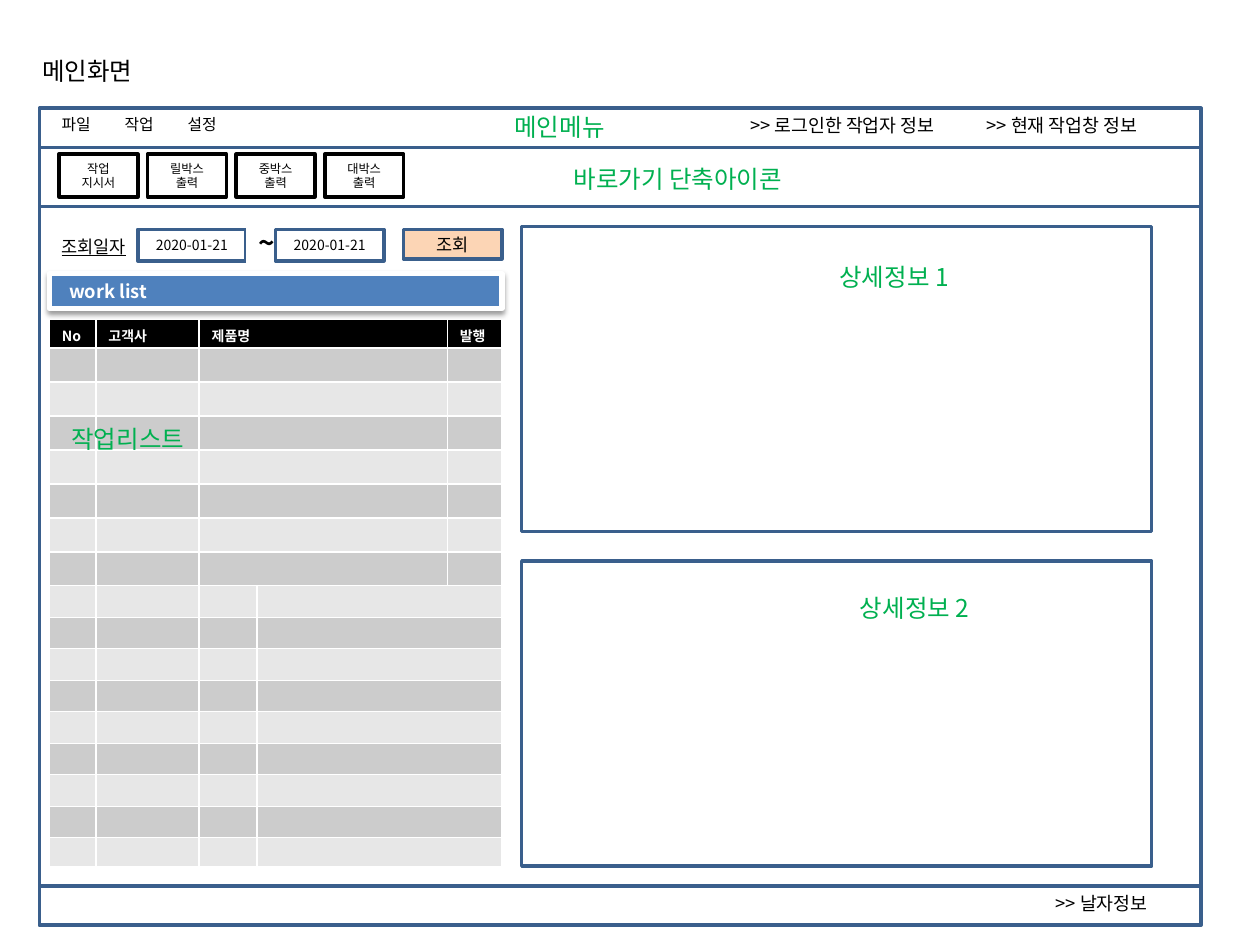
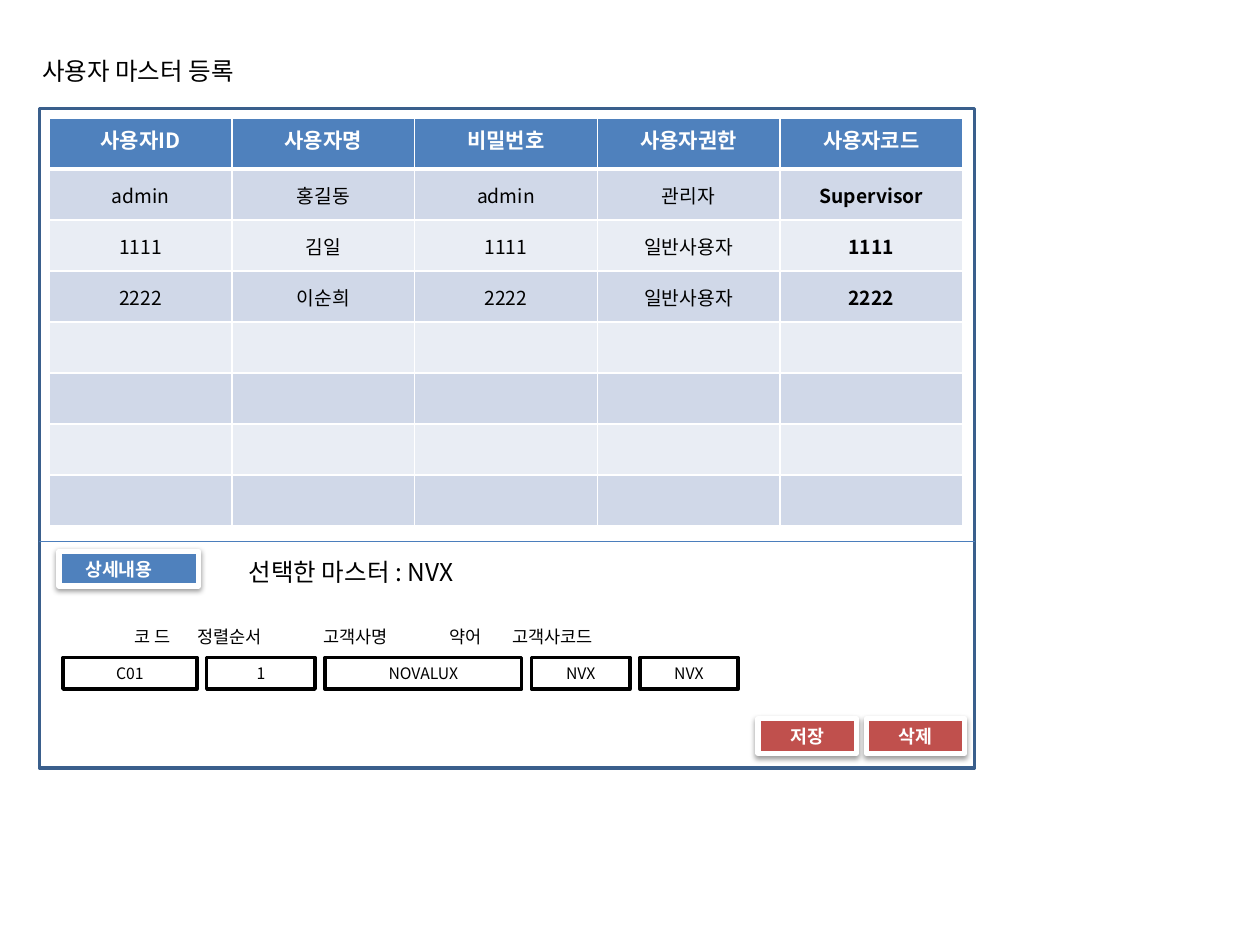
from lxml import etree
from pptx import Presentation
from pptx.dml.color import RGBColor
from pptx.enum.shapes import MSO_CONNECTOR, MSO_SHAPE
from pptx.enum.text import MSO_ANCHOR as Anchor, MSO_AUTO_SIZE as AutoSize, PP_ALIGN as Align
from pptx.oxml.ns import qn
from pptx.util import Inches, Pt

FONT = "Noto Sans CJK KR"
GRID_COLUMNS = 128  # one unit is the slide width / 128, used both ways
UNIT = Inches(10) / GRID_COLUMNS

BLACK = RGBColor(0x00, 0x00, 0x00)
WHITE = RGBColor(0xFF, 0xFF, 0xFF)
NAVY = RGBColor(0x3A, 0x5F, 0x8C)
BLUE = RGBColor(0x4F, 0x81, 0xBD)
RULE_BLUE = RGBColor(0x4B, 0x7E, 0xBC)
GREEN = RGBColor(0x00, 0xB0, 0x50)
RED = RGBColor(0xC0, 0x50, 0x4D)
PEACH = RGBColor(0xFC, 0xD5, 0xB5)
GRAY_BANDS = RGBColor(0xCC, 0xCC, 0xCC), RGBColor(0xE7, 0xE7, 0xE7)
BLUE_BANDS = RGBColor(0xD0, 0xD8, 0xE8), RGBColor(0xE9, 0xED, 0xF4)


def grid(*units):
    return [round(unit * UNIT) for unit in units]


def add_element(parent, tag, **attributes):
    element = etree.SubElement(parent, qn(tag))
    for name, value in attributes.items():
        element.set(name, str(value))
    return element


def write(frame, text, size=10, color=BLACK, bold=False, underline=None,
          align=Align.LEFT, indent=0, tabs=()):
    """Put text in a frame; indent and tab stops are in inches."""
    frame.text = text
    for paragraph in frame.paragraphs:
        paragraph.alignment = align
        properties = paragraph._p.get_or_add_pPr()
        properties.set("marL", str(Inches(indent)))
        properties.set("indent", "0")
        if tabs:
            stops = add_element(properties, "a:tabLst")
            for stop in tabs:
                add_element(stops, "a:tab", pos=Inches(stop), algn="l")
        for run in paragraph.runs:
            font = run.font
            font.name, font.size, font.bold = FONT, Pt(size), bold
            font.underline, font.color.rgb = underline, color
            add_element(run._r.get_or_add_rPr(), "a:ea", typeface=FONT)
        if not paragraph.runs:
            add_element(paragraph._p, "a:endParaRPr", sz=size * 100)


def add_title(slide, text, width):
    title = slide.shapes.title
    title.left, title.top, title.width, title.height = grid(3, 5, width, 4.35)
    frame = title.text_frame
    frame.auto_size = AutoSize.NONE
    frame.word_wrap = False
    frame.vertical_anchor = Anchor.TOP
    write(frame, text, size=14)


def add_label(slide, text, left, top, width, height=4.35, wrap=False, **style):
    box = slide.shapes.add_textbox(*grid(left, top, width, height))
    box.text_frame.word_wrap = wrap
    write(box.text_frame, text, **style)


def add_note(slide, text, left, top, width):
    add_label(slide, text, left, top, width, size=14, color=GREEN)


def add_box(slide, left, top, width, height, text="", fill=None, line=NAVY,
            line_width=2, anchor=Anchor.MIDDLE, align=Align.CENTER, **style):
    box = slide.shapes.add_shape(MSO_SHAPE.RECTANGLE, *grid(left, top, width, height))
    box.shadow.inherit = False
    if fill is None:
        box.fill.background()
    else:
        box.fill.solid()
        box.fill.fore_color.rgb = fill
    if line is None:
        box.line.fill.background()
    else:
        box.line.color.rgb = line
        box.line.width = Pt(line_width)
    if text:
        box.text_frame.vertical_anchor = anchor
        write(box.text_frame, text, align=align, **style)
    return box


def add_raised_bar(slide, text, left, top, width, fill, **style):
    """Filled bar with a white rim and a soft shadow below."""
    bar = add_box(slide, left, top, width, 3.55, text, fill, WHITE, 3,
                  size=10.5, color=WHITE, bold=True, **style)
    effects = bar._element.spPr.find(qn("a:effectLst"))
    shadow = add_element(effects, "a:outerShdw", blurRad=Pt(3.1), dist=Pt(1.6),
                         dir=90 * 60000, rotWithShape=0)
    color = add_element(shadow, "a:srgbClr", val=BLACK)
    add_element(color, "a:alpha", val=38000)


def add_grid_table(slide, left, top, column_widths, row_heights):
    """Plain table; widths and heights are in inches."""
    frame = slide.shapes.add_table(
        len(row_heights), len(column_widths), *grid(left, top),
        Inches(sum(column_widths)), Inches(sum(row_heights)))
    table = frame.table
    for column, width in zip(table.columns, column_widths):
        column.width = Inches(width)
    for row, height in zip(table.rows, row_heights):
        row.height = Inches(height)
    return table


def fill_cell(cell, fill, text="", anchor=Anchor.TOP, **style):
    cell.fill.solid()
    cell.fill.fore_color.rgb = fill
    cell.vertical_anchor = anchor
    cell.margin_bottom = Inches(0.01)
    write(cell.text_frame, text, **style)


def set_borders(cell, bottom=1):
    properties = cell._tc.get_or_add_tcPr()
    widths = {"a:lnL": 1, "a:lnR": 1, "a:lnT": 1, "a:lnB": bottom}
    for position, (tag, width) in enumerate(widths.items()):
        line = add_element(properties, tag, w=Pt(width))
        add_element(add_element(line, "a:solidFill"), "a:srgbClr", val=WHITE)
        properties.insert(position, line)


def add_work_list(slide):
    headings = ["No", "고객사", "제품명", "", "발행"]
    heights = [0.23] + [0.27] * 7 + [0.25] * 8 + [0.23]
    table = add_grid_table(slide, 5, 32.4, [0.37, 0.82, 0.46, 1.51, 0.43], heights)
    for row in range(len(heights)):
        for column, heading in enumerate(headings):
            header = row == 0
            fill_cell(table.cell(row, column),
                      BLACK if header else GRAY_BANDS[(row - 1) % 2],
                      heading if header else "", size=8, color=WHITE, bold=True)
        first = 2 if row < 8 else 3
        table.cell(row, first).merge(table.cell(row, first + 1))


def add_user_table(slide):
    headings = ["사용자ID", "사용자명", "비밀번호", "사용자권한", "사용자코드"]
    users = [
        ["admin", "홍길동", "admin", "관리자", "Supervisor"],
        ["1111", "김일", "1111", "일반사용자", "1111"],
        ["2222", "이순희", "2222", "일반사용자", "2222"],
    ]
    rows = [headings] + users + [[""] * 5] * 4
    table = add_grid_table(slide, 5, 12, [1.45] * 5, [3.24 / len(rows)] * len(rows))
    for row, values in enumerate(rows):
        for column, value in enumerate(values):
            cell = table.cell(row, column)
            if row == 0:
                fill_cell(cell, BLUE, value, size=12, color=WHITE, bold=True,
                          align=Align.CENTER)
            else:
                cell.margin_top = Inches(0.01)
                fill_cell(cell, BLUE_BANDS[(row - 1) % 2], value, Anchor.MIDDLE,
                          size=11, bold=column == 4, align=Align.CENTER)
            set_borders(cell, bottom=3 if row == 0 else 1)


def build_main_screen(slide):
    add_title(slide, "메인화면", 12.7)
    for top, height in [(11, 79), (11, 4), (15, 6)]:
        add_box(slide, 4, top, 118, height)
    add_note(slide, "메인메뉴", 51, 10.75, 12.7)
    add_note(slide, "바로가기 단축아이콘", 57, 16, 26.1)
    shortcuts = ["작업\n지시서", "릴박스\n출력", "중박스\n출력", "대박스\n출력"]
    for index, shortcut in enumerate(shortcuts):
        add_box(slide, 6 + 9 * index, 15.65, 8, 4.35, shortcut, WHITE, BLACK, size=7)

    add_work_list(slide)
    add_raised_bar(slide, "work list", 5, 27.8, 46, BLUE, align=Align.LEFT, indent=0.06)
    for number, top, note_left, note_top in [(1, 23, 84, 26), (2, 57, 86.1, 59.65)]:
        add_box(slide, 53, top, 64, 31)
        add_note(slide, f"상세정보 {number}", note_left, note_top, 14.8)

    add_label(slide, "파일\t작업\t설정", 5, 11, 77, 3.2, wrap=True, size=9,
              tabs=[0.86, 1.83])
    for text, left, top, width in [(">> 로그인한 작업자 정보", 75, 11, 24.2),
                                   (">> 현재 작업창 정보", 99, 11, 20.5),
                                   (">> 날자정보", 106, 90, 13.4)]:
        add_label(slide, text, left, top, width, 3.6, size=10.5)
    add_box(slide, 4, 90, 118, 4)
    add_note(slide, "작업리스트", 6, 42.4, 15.1)

    add_box(slide, 41, 23.3, 10, 3, "조회", PEACH, size=10)
    add_label(slide, "조회일자", 5, 23.3, 9.7, 3.45, size=10, underline=True)
    add_box(slide, 14, 23.3, 11, 3.2, "2020-01-21", size=8)
    add_box(slide, 25, 22.3, 3, 4.7, "~", WHITE, None, size=16, bold=True)
    add_box(slide, 28, 23.3, 11, 3.2, "2020-01-21", size=8)


def build_user_master(slide):
    add_title(slide, "사용자 마스터 등록", 24.4)
    add_raised_bar(slide, "상세내용", 6, 56, 14.2, BLUE, align=Align.LEFT, indent=0.11)
    add_user_table(slide)
    add_label(slide, "선택한 마스터 : NVX", 24, 56, 25.9, size=14)
    add_label(slide, "\t코 드\t정렬순서\t고객사명\t약어\t고객사코드", 6, 63, 78, 3.45,
              wrap=True, size=10, tabs=[0.37, 0.89, 2.02, 3.19, 3.76])
    left, gap = 6.4, 1
    for value, width in [("C01", 13.6), ("1", 11), ("NOVALUX", 20), ("NVX", 10), ("NVX", 10)]:
        add_box(slide, left, 66.8, width, 3.2, value, WHITE, BLACK, size=9)
        left += width + gap
    for text, button_left in [("저장", 77), ("삭제", 88)]:
        add_raised_bar(slide, text, button_left, 73, 10, RED)
    add_box(slide, 4, 11, 95, 67)
    divider = slide.shapes.add_connector(MSO_CONNECTOR.STRAIGHT, *grid(4, 55, 99, 55))
    divider.line.color.rgb = RULE_BLUE
    divider.line.width = Pt(0.75)
    add_element(divider._element.spPr, "a:effectLst")


def main():
    presentation = Presentation()
    presentation.slide_width, presentation.slide_height = Inches(10), Inches(7.5)
    title_only = presentation.slide_layouts[5]
    for build in (build_main_screen, build_user_master):
        build(presentation.slides.add_slide(title_only))
    presentation.save("out.pptx")


if __name__ == "__main__":
    main()
